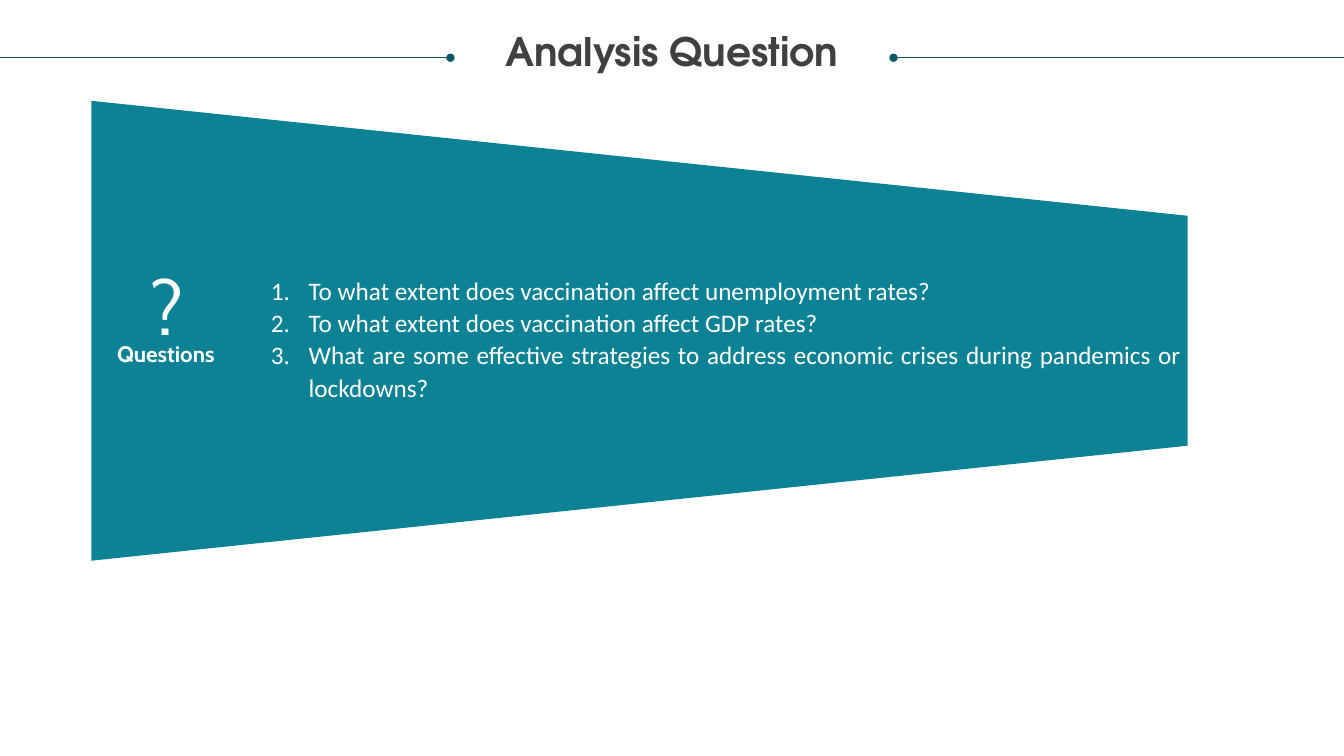
import dataclasses

import lxml.etree
import pptx
import pptx.dml.color
import pptx.enum.shapes
import pptx.enum.text
import pptx.oxml.ns
import pptx.shapes.autoshape
import pptx.slide
import pptx.util

EMU_PER_PX = 9525
SLIDE_WIDTH, SLIDE_HEIGHT = 1280, 720
RULE_Y = 55
RULE_LENGTH = 429
NUMBER_INDENT = 36
ALIGN = pptx.enum.text.PP_ALIGN


@dataclasses.dataclass(frozen=True)
class Theme:
    panel: str = "0D8295"
    rule: str = "085764"
    title: str = "404040"
    light: str = "FFFFFF"
    title_font: str = "TeX Gyre Adventor"
    label_font: str = "Cabin"
    body_font: str = "Calibri"
    title_size: int = 28
    mark_size: int = 54
    label_size: int = 16
    body_size: int = 18
    rule_weight: float = 0.5


THEME = Theme()


@dataclasses.dataclass(frozen=True)
class Rule:
    start_x: int
    end_x: int
    dot_end: str


@dataclasses.dataclass(frozen=True)
class TextBlock:
    left: int
    top: int
    width: int
    height: int
    paragraphs: tuple[str, ...]
    font: str
    size: int
    color: str
    bold: bool = False
    align: ALIGN = ALIGN.CENTER
    line_spacing: float = 1.0
    wrap: bool = True
    margins: tuple[int, int] = (0, 0)
    numbered: bool = False


RULES = (
    Rule(SLIDE_WIDTH - RULE_LENGTH, SLIDE_WIDTH, "a:headEnd"),
    Rule(0, RULE_LENGTH, "a:tailEnd"),
)

TEXT_BLOCKS = (
    TextBlock(24, 31, 1232, 82, ("Analysis Question",), THEME.title_font,
              THEME.title_size, THEME.title, bold=True, line_spacing=0.9),
    TextBlock(86, 324, 144, 26, ("Questions",), THEME.label_font,
              THEME.label_size, THEME.light, bold=True),
    TextBlock(133, 243, 51, 97, ("?",), THEME.label_font,
              THEME.mark_size, THEME.light, wrap=False, margins=(10, 5)),
    TextBlock(258, 260, 867, 123, (
        "To what extent does vaccination affect unemployment rates?",
        "To what extent does vaccination affect GDP rates?",
        "What are some effective strategies to address economic crises "
        "during pandemics or lockdowns?",
    ), THEME.body_font, THEME.body_size, THEME.light, align=ALIGN.JUSTIFY,
        line_spacing=1.07, numbered=True),
)


def px(length: int) -> pptx.util.Emu:
    return pptx.util.Emu(length * EMU_PER_PX)


def rgb(color: str) -> pptx.dml.color.RGBColor:
    return pptx.dml.color.RGBColor.from_string(color)


def add_child(parent: lxml.etree.ElementBase, tag: str, **attributes: str) -> None:
    lxml.etree.SubElement(parent, pptx.oxml.ns.qn(tag), attributes)


def add_panel(slide: pptx.slide.Slide) -> None:
    """Draw the trapezoid on its side, narrow end to the right."""
    panel = slide.shapes.add_shape(
        pptx.enum.shapes.MSO_SHAPE.TRAPEZOID, px(390), px(-207), px(438), px(1044))
    panel.rotation = 90
    panel.shadow.inherit = False
    panel.fill.solid()
    panel.fill.fore_color.rgb = rgb(THEME.panel)
    panel.line.fill.background()


def add_rule(slide: pptx.slide.Slide, rule: Rule) -> None:
    connector = slide.shapes.add_connector(
        pptx.enum.shapes.MSO_CONNECTOR.STRAIGHT,
        px(rule.start_x), px(RULE_Y), px(rule.end_x), px(RULE_Y))
    connector.line.color.rgb = rgb(THEME.rule)
    connector.line.width = pptx.util.Pt(THEME.rule_weight)
    add_child(connector.line._get_or_add_ln(), rule.dot_end, type="oval")
    add_child(connector._element.spPr, "a:effectLst")


def add_text(slide: pptx.slide.Slide, block: TextBlock) -> None:
    box = slide.shapes.add_textbox(
        px(block.left), px(block.top), px(block.width), px(block.height))
    frame = box.text_frame
    frame.word_wrap = block.wrap
    frame.auto_size = pptx.enum.text.MSO_AUTO_SIZE.SHAPE_TO_FIT_TEXT
    frame.margin_left = frame.margin_right = px(block.margins[0])
    frame.margin_top = frame.margin_bottom = px(block.margins[1])
    for index, text in enumerate(block.paragraphs):
        paragraph = frame.add_paragraph() if index else frame.paragraphs[0]
        paragraph.alignment = block.align
        paragraph.line_spacing = block.line_spacing
        if block.numbered:
            properties = paragraph._p.get_or_add_pPr()
            properties.set("marL", str(px(NUMBER_INDENT)))
            properties.set("indent", str(px(-NUMBER_INDENT)))
            add_child(properties, "a:buFont", typeface="+mj-lt")
            add_child(properties, "a:buAutoNum", type="arabicPeriod")
        run = paragraph.add_run()
        run.text = text
        run.font.name = block.font
        run.font.size = pptx.util.Pt(block.size)
        run.font.bold = block.bold
        run.font.color.rgb = rgb(block.color)


def main() -> None:
    presentation = pptx.Presentation()
    presentation.slide_width = px(SLIDE_WIDTH)
    presentation.slide_height = px(SLIDE_HEIGHT)
    slide = presentation.slides.add_slide(presentation.slide_layouts[6])
    add_panel(slide)
    for rule in RULES:
        add_rule(slide, rule)
    for block in TEXT_BLOCKS:
        add_text(slide, block)
    presentation.save("out.pptx")


if __name__ == "__main__":
    main()
